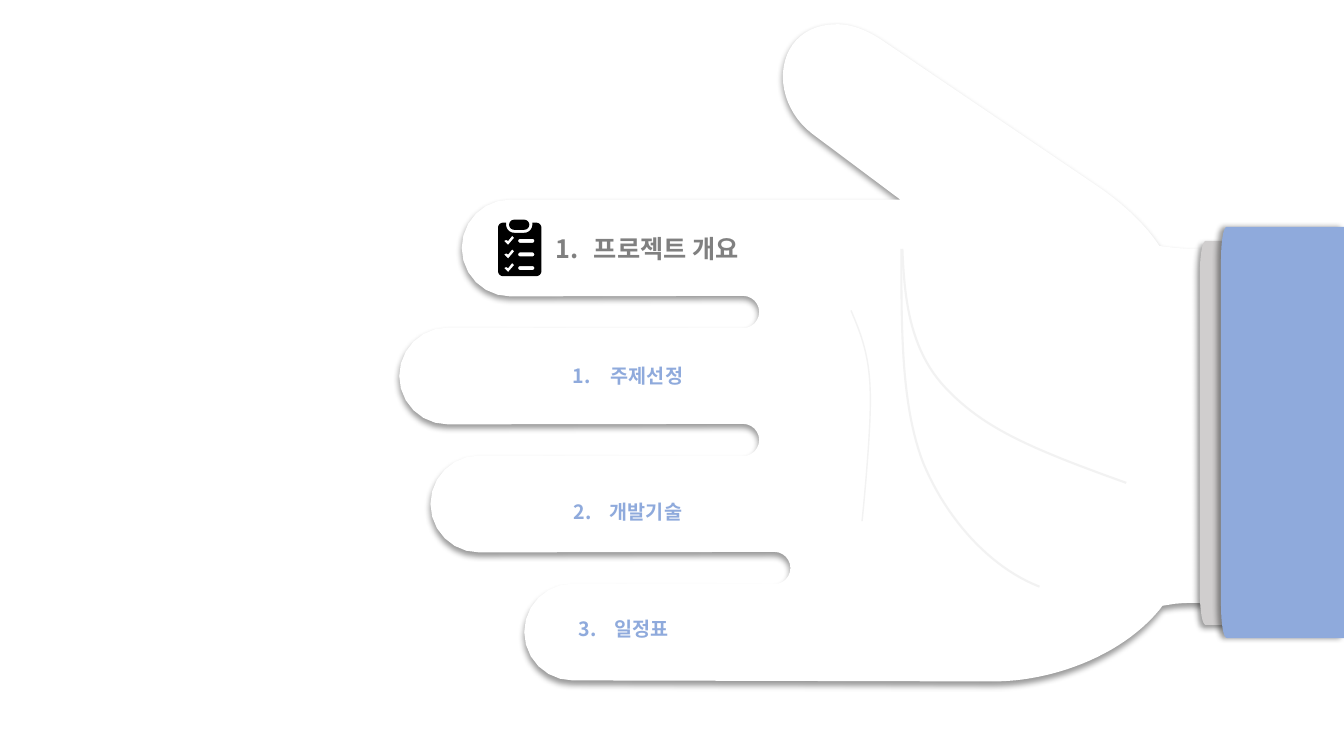
import math
from lxml import etree
from pptx import Presentation
from pptx import util as u
from pptx.dml.color import RGBColor
from pptx.enum import text
from pptx.oxml import ns

COLORS = {"white": "FFFFFF", "blue": "8FAADC", "cuff": "D0CECE",
          "crease": "F2F2F2", "heading": "808080", "black": "000000"}
FONT = "Noto Sans CJK KR"


def arc(x, y, radius, start, end, steps=12):
    angles = [math.radians(start + (end - start) * i / steps) for i in range(steps + 1)]
    return [(x + radius * math.cos(a), y + radius * math.sin(a)) for a in angles]


def trace(steps):
    points = []
    for step in steps:
        if len(step) == 2:
            points.append(step)
            continue
        controls = [points[-1], step[:2], step[2:4], step[4:]]
        for i in range(1, 25):
            t = i / 24
            weights = ((1 - t) ** 3, 3 * t * (1 - t) ** 2, 3 * t * t * (1 - t), t ** 3)
            points.append(tuple(sum(w * p[axis] for w, p in zip(weights, controls))
                                for axis in (0, 1)))
    return points


def pill(left, right, middle, radius):
    return arc(left + radius, middle, radius, 90, 270) + arc(right - radius, middle, radius, -90, 90)


def hand_outline():
    tips = [4.58, 3.96, 4.27, 5.2]
    valleys = [7.53, 7.53, 7.84]
    first_middle, pitch, tip_radius, valley_radius = 2.46, 1.27, 0.48, 0.16
    steps = [(8.06, 1.33), (7.59, 0.97, 7.69, 0.24, 8.3, 0.24),
             (8.45, 0.24, 8.6, 0.3, 8.75, 0.4), (10.86, 1.83),
             (11.1, 1.99, 11.34, 2.2, 11.5, 2.44), (11.58, 2.45),
             (12.27, 2.54, 12.72, 2.34, 13.33, 2.34), (13.33, 6.18),
             (12.76, 6.18, 12.23, 5.93, 11.65, 5.99), (11.53, 6.01), (11.5, 6.05),
             (11.1, 6.53, 10.4, 6.76, 9.86, 6.76)]
    for finger in reversed(range(len(tips))):
        middle = first_middle + finger * pitch
        steps += arc(tips[finger] + tip_radius, middle, tip_radius, 90, 270)
        if finger:
            steps += arc(valleys[finger - 1] - valley_radius, middle - pitch / 2,
                         valley_radius, 90, -90)
    return steps + [(8.93, 1.98)]


def cuff_outline(left, top, right, bottom):
    edge, corner = left + 0.06, 0.35
    return [(edge, top), (right, top), (right, bottom), (edge, bottom),
            (left + 0.02, bottom, left, bottom - 0.16, left, bottom - corner),
            (left, top + corner), (left, top + 0.16, left + 0.02, top, edge, top)]


def clipboard_outlines():
    board = (arc(5.2, 2.23, 0.08, 0, 90) + arc(5.1, 2.23, 0.08, 90, 180) + [(5.02, 2.21)]
             + arc(4.99, 2.26, 0.05, 270, 180) + arc(4.99, 2.69, 0.05, 180, 90)
             + arc(5.32, 2.69, 0.05, 90, 0) + arc(5.32, 2.26, 0.05, 0, -90) + [(5.28, 2.21)])
    tick = [(5, 2.39), (5.02, 2.38), (5.04, 2.39), (5.08, 2.34), (5.1, 2.36), (5.04, 2.43)]
    outlines = [board]
    for row in range(3):
        drop = row * 0.135
        outlines.append([(x, y + drop) for x, y in tick])
        outlines.append(pill(5.14, 5.3, 2.39 + drop, 0.02))
    return outlines


class SlideBuilder:
    def __init__(self, slide):
        self.slide = slide

    def color(self, name):
        return RGBColor.from_string(COLORS[name])

    def freeform(self, outlines, closed):
        builder = None
        for outline in outlines:
            points = [(u.Inches(x), u.Inches(y)) for x, y in trace(outline)]
            if builder is None:
                builder = self.slide.shapes.build_freeform(*points[0], scale=1.0)
            else:
                builder.move_to(*points[0])
            builder.add_line_segments(points[1:], close=closed)
        shape = builder.convert_to_shape()
        shape.shadow.inherit = False
        return shape

    def filled(self, outlines, color, shadow_angle=None):
        shape = self.freeform(outlines, True)
        shape.fill.solid()
        shape.fill.fore_color.rgb = self.color(color)
        shape.line.fill.background()
        if shadow_angle is not None:
            effects = shape.element.spPr.find(ns.qn("a:effectLst"))
            shadow = etree.SubElement(effects, ns.qn("a:outerShdw"), blurRad=str(u.Pt(4)),
                                      dist=str(u.Pt(3)), dir=str(shadow_angle * 60000),
                                      algn="ctr", rotWithShape="0")
            tint = etree.SubElement(shadow, ns.qn("a:srgbClr"), val=COLORS["black"])
            etree.SubElement(tint, ns.qn("a:alpha"), val="40000")

    def crease(self, steps, width):
        shape = self.freeform([steps], False)
        shape.fill.background()
        shape.line.color.rgb = self.color("crease")
        shape.line.width = u.Pt(width)

    def numbered(self, shape, content, number, box, size, color, indent):
        shape.left, shape.top, shape.width, shape.height = map(u.Inches, box)
        frame = shape.text_frame
        frame.text = content
        frame.word_wrap = True
        frame.auto_size = text.MSO_AUTO_SIZE.SHAPE_TO_FIT_TEXT
        frame.vertical_anchor = text.MSO_ANCHOR.TOP
        paragraph = frame.paragraphs[0]
        paragraph.alignment = text.PP_ALIGN.LEFT
        properties = paragraph._p.get_or_add_pPr()
        properties.set("marL", str(u.Inches(indent)))
        properties.set("indent", str(u.Inches(-indent)))
        etree.SubElement(properties, ns.qn("a:buFont"), typeface=FONT)
        etree.SubElement(properties, ns.qn("a:buAutoNum"), type="arabicPeriod", startAt=str(number))
        font = paragraph.runs[0].font
        font.size, font.bold, font.name = u.Pt(size), True, FONT
        font.color.rgb = self.color(color)
        etree.SubElement(paragraph.runs[0]._r.get_or_add_rPr(), ns.qn("a:ea"), typeface=FONT)

    def title(self, content, number, box):
        shape = self.slide.shapes.title
        shape.element.getparent().append(shape.element)
        self.numbered(shape, content, number, box, 18, "heading", 0.38)

    def item(self, content, number, left, top, indent):
        box = (left, top, 3.38, 0.34)
        shape = self.slide.shapes.add_textbox(*map(u.Inches, box))
        self.numbered(shape, content, number, box, 14, "blue", indent)


def main():
    presentation = Presentation()
    presentation.slide_width = u.Inches(13.33)
    presentation.slide_height = u.Inches(7.5)
    builder = SlideBuilder(presentation.slides.add_slide(presentation.slide_layouts[5]))

    builder.filled([hand_outline()], "white", 90)
    builder.title("프로젝트 개요", 1, (5.41, 2.26, 3.38, 0.4))
    builder.filled([cuff_outline(11.9, 2.39, 13.12, 6.2)], "cuff", 135)
    builder.filled([cuff_outline(12.11, 2.25, 13.33, 6.33)], "blue", 180)

    builder.crease([(8.95, 2.47), (8.97, 2.93, 9.01, 3.46, 9.38, 3.85),
                    (9.75, 4.24, 10.19, 4.44, 11.17, 4.79)], 1.5)
    builder.crease([(8.94, 2.47), (8.94, 3.29, 8.94, 4.04, 9.16, 4.6),
                    (9.39, 5.15, 9.82, 5.63, 10.31, 5.82)], 1.5)
    builder.crease([(8.44, 3.08), (8.53, 3.29, 8.62, 3.51, 8.63, 3.86),
                    (8.65, 4.21, 8.55, 5.17, 8.55, 5.17)], 1)

    builder.filled([pill(5.05, 5.25, 2.23, 0.05)], "black")
    builder.filled(clipboard_outlines(), "black")

    items = [("주제선정", 5.58, 3.56, 0.38), ("개발기술", 5.59, 4.91, 0.36),
             ("일정표", 5.64, 6.07, 0.36)]
    for number, (content, left, top, indent) in enumerate(items, 1):
        builder.item(content, number, left, top, indent)

    presentation.save("out.pptx")


if __name__ == "__main__":
    main()
